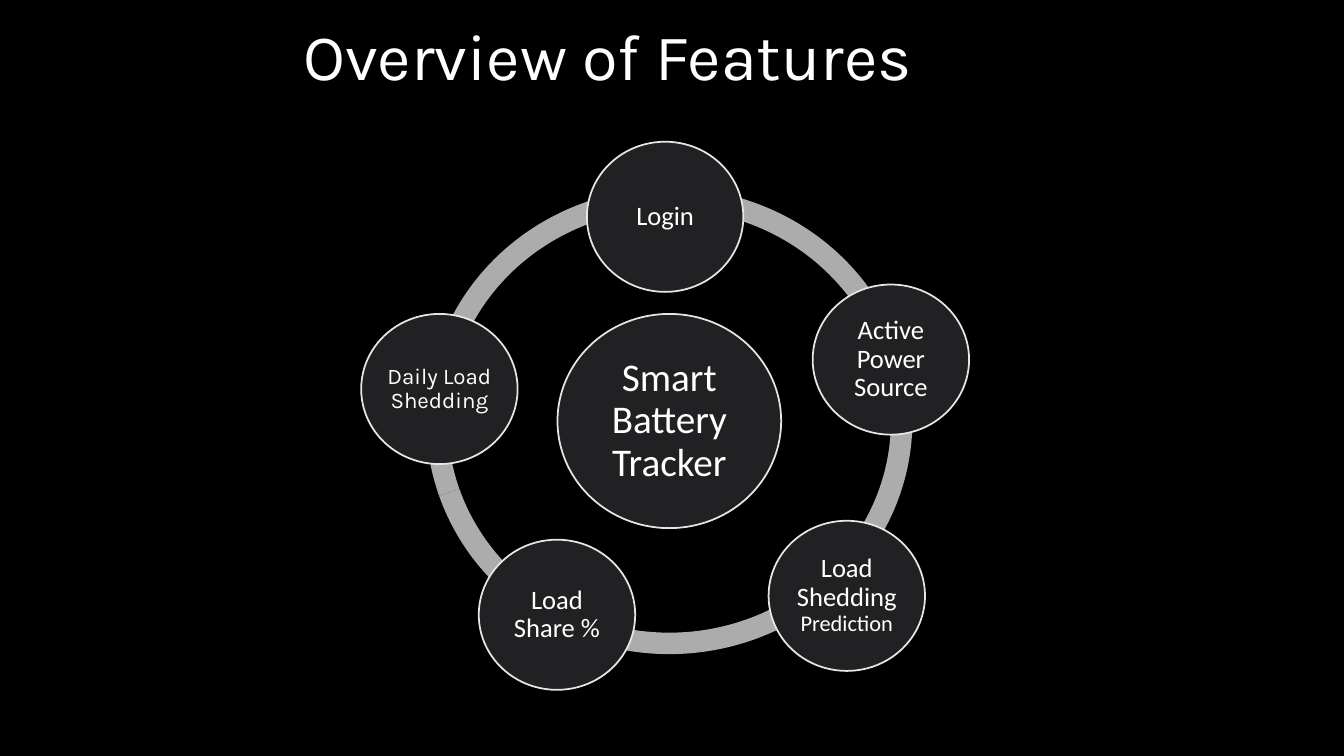
from itertools import pairwise

from pptx import Presentation
from pptx.dml.color import RGBColor
from pptx.enum.shapes import MSO_SHAPE
from pptx.enum.text import MSO_ANCHOR, PP_ALIGN
from pptx.util import Emu, Pt

ELLIPSE = MSO_SHAPE.OVAL
BLOCK_ARC = MSO_SHAPE.BLOCK_ARC
MIDDLE = MSO_ANCHOR.MIDDLE
CENTER = PP_ALIGN.CENTER

BLACK, WHITE = "000000", "FFFFFF"
DISC_FILL, DISC_LINE, RING_FILL = "212123", "E7E6E6", "ACACAC"

RING_STOPS = [0, 54, 108, 162, 360]
RING_THICKNESS = 0.046
NODE_SIZE = (149, 143)
FEATURES = [
    (215, 0, 3, 6.7, [("Login", 19, "Calibri")]),
    (388, 361, 3, 6.7, [("Load Shedding ", 19, "Calibri"), ("Prediction", 16, "Calibri")]),
    (112, 379, 3, 6.7, [("Load Share %", 19, "Calibri")]),
    (0, 164, 2, 5.6, [("Daily Load Shedding", 16, "Karla")]),
    (430, 136, 3, 6.7, [("Active Power Source", 19, "Calibri")]),
]


def px(length):
    """Turn pixels at 96 to the inch into EMU."""
    return Emu(length * 9525)


def color(value):
    """Turn a hex string into a colour."""
    return RGBColor.from_string(value)


def set_insets(frame, inset):
    """Give a text frame the same inset on all four sides."""
    frame.margin_left = frame.margin_right = px(inset)
    frame.margin_top = frame.margin_bottom = px(inset)


def add_run(paragraph, text, size, font_name):
    """Append one white run to a paragraph."""
    run = paragraph.add_run()
    run.text = text
    run.font.size = Pt(size)
    run.font.name = font_name
    run.font.color.rgb = color(WHITE)


def add_filled_shape(slide, kind, box, fill):
    """Add a flat preset shape with a solid fill."""
    shape = slide.shapes.add_shape(kind, *map(px, box))
    shape.shadow.inherit = False
    shape.fill.solid()
    shape.fill.fore_color.rgb = color(fill)
    return shape


def add_title(slide, box):
    """Place the slide title."""
    frame = slide.shapes.add_textbox(*map(px, box)).text_frame
    frame.word_wrap = False
    set_insets(frame, 0)
    paragraph = frame.paragraphs[0]
    paragraph.line_spacing = Pt(58)
    add_run(paragraph, "Overview of Features", 46.4, "Karla")


def add_ring(slide, box):
    """Draw the ring as consecutive arcs."""
    for start, end in reversed(list(pairwise(RING_STOPS))):
        arc = add_filled_shape(slide, BLOCK_ARC, box, RING_FILL)
        arc.line.fill.background()
        arc.adjustments[0] = start * 0.6
        arc.adjustments[1] = end % 360 * 0.6
        arc.adjustments[2] = RING_THICKNESS


def add_disc(slide, box, inset, space_after, runs):
    """Draw an outlined disc with centred text."""
    disc = add_filled_shape(slide, ELLIPSE, box, DISC_FILL)
    disc.line.color.rgb = color(DISC_LINE)
    disc.line.width = Pt(1.25)
    frame = disc.text_frame
    frame.word_wrap = True
    frame.vertical_anchor = MIDDLE
    set_insets(frame, inset)
    paragraph = frame.paragraphs[0]
    paragraph.alignment = CENTER
    paragraph.line_spacing = 0.9
    paragraph.space_after = Pt(space_after)
    for run in runs:
        add_run(paragraph, *run)


def add_feature_wheel(slide, box):
    """Place the ring, the hub and the feature discs."""
    left, top, width, height = box
    add_ring(slide, (left + 62, top + 44, width - 116, height - 78))
    hub = (left + 187, top + 164, 213, 204)
    add_disc(slide, hub, 5, 11.9, [("Smart Battery Tracker", 28, "Calibri")])
    for x, y, inset, space_after, runs in FEATURES:
        add_disc(slide, (left + x, top + y, *NODE_SIZE), inset, space_after, runs)


def main():
    """Build and save the presentation."""
    presentation = Presentation()
    presentation.slide_width, presentation.slide_height = px(1280), px(720)
    slide = presentation.slides.add_slide(presentation.slide_layouts[6])
    slide.background.fill.solid()
    slide.background.fill.fore_color.rgb = color(BLACK)
    add_title(slide, (289, 12, 730, 78))
    add_feature_wheel(slide, (344, 135, 579, 522))
    presentation.save("out.pptx")


if __name__ == "__main__":
    main()
